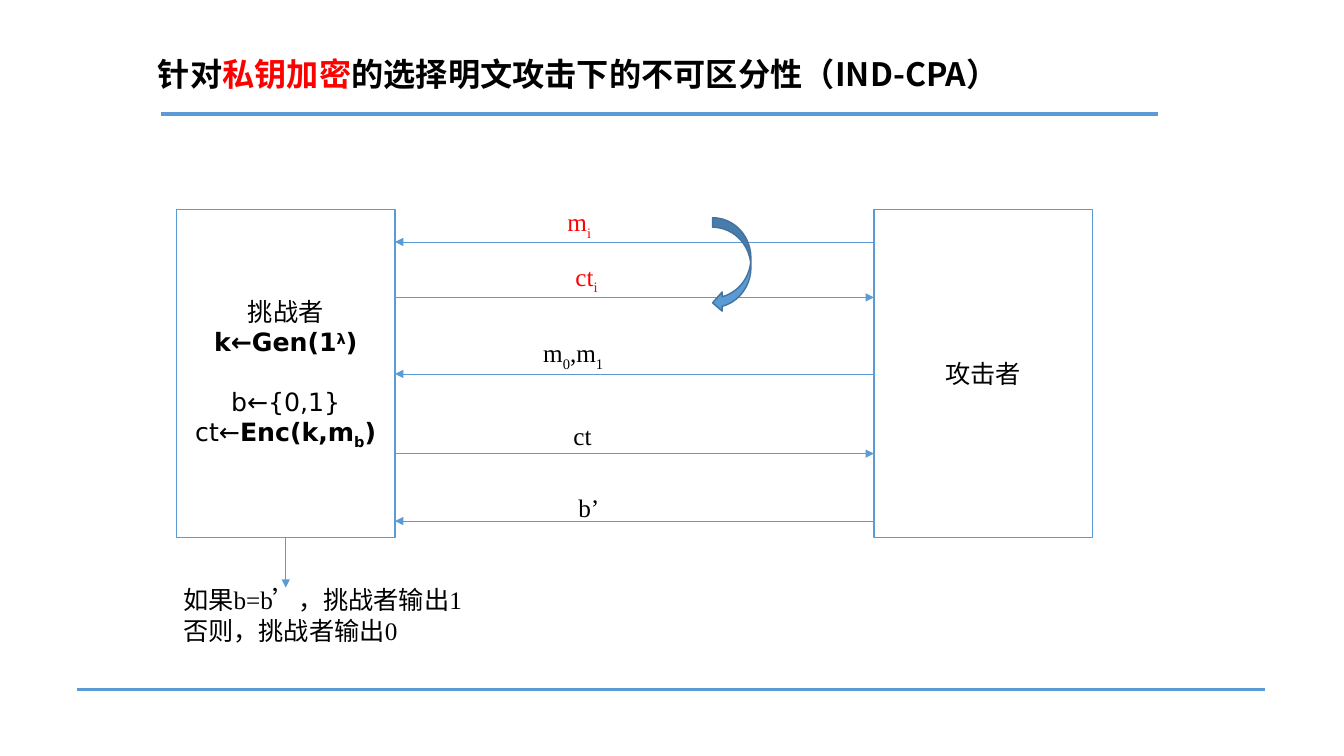
from lxml import etree
from pptx import Presentation
from pptx.dml.color import RGBColor
from pptx.enum.lang import MSO_LANGUAGE_ID
from pptx.enum.shapes import MSO_CONNECTOR, MSO_SHAPE
from pptx.enum.text import MSO_ANCHOR, MSO_AUTO_SIZE, PP_ALIGN
from pptx.oxml.ns import qn
from pptx.util import Pt

BLUE = RGBColor(0x5B, 0x9B, 0xD5)
DARK_BLUE = RGBColor(0x43, 0x73, 0x9E)
BLACK = RGBColor(0, 0, 0)
RED = RGBColor(0xFF, 0, 0)
WHITE = RGBColor(0xFF, 0xFF, 0xFF)

STRAIGHT = MSO_CONNECTOR.STRAIGHT
RECTANGLE = MSO_SHAPE.RECTANGLE
CURVED_ARROW = MSO_SHAPE.CURVED_LEFT_ARROW
CENTER = PP_ALIGN.CENTER
MIDDLE = MSO_ANCHOR.MIDDLE
BOTTOM = MSO_ANCHOR.BOTTOM
GROW = MSO_AUTO_SIZE.SHAPE_TO_FIT_TEXT
CHINESE = MSO_LANGUAGE_ID.SIMPLIFIED_CHINESE

CJK = "Noto Sans CJK SC"
SANS = "DejaVu Sans"
SERIF = "Times New Roman"
SUB, SUP = -25, 30


def add_run(p, text, font=SERIF, size=18, color=BLACK, bold=False, base=0):
    """Append one formatted run to a paragraph."""
    r = p.add_run()
    r.text = text
    r.font.name = font
    r.font.size = Pt(size)
    r.font.bold = bold
    r.font.color.rgb = color
    r.font.language_id = CHINESE
    rPr = r._r.get_or_add_rPr()
    if base:
        rPr.set("baseline", str(base * 1000))
    ea = etree.Element(qn("a:ea"), typeface=CJK)
    rPr.find(qn("a:latin")).addnext(ea)


def add_line(s, x1, y1, x2, y2, width=0.5, arrow=True):
    """Draw a blue line, with an arrowhead at its end if wanted."""
    line = s.shapes.add_connector(STRAIGHT, Pt(x1), Pt(y1), Pt(x2), Pt(y2))
    line.line.color.rgb = BLUE
    line.line.width = Pt(width)
    if arrow:
        etree.SubElement(line.line._get_or_add_ln(), qn("a:tailEnd"), type="triangle")
    etree.SubElement(line._element.spPr, qn("a:effectLst"))


def add_textbox(s, x, y, w, h):
    """Add a wrapping text box and return its text frame."""
    tf = s.shapes.add_textbox(Pt(x), Pt(y), Pt(w), Pt(h)).text_frame
    tf.word_wrap = True
    return tf


def add_shape(s, kind, x, y, w, h, fill, outline):
    """Add a flat preset shape."""
    sp = s.shapes.add_shape(kind, Pt(x), Pt(y), Pt(w), Pt(h))
    sp.shadow.inherit = False
    sp.fill.solid()
    sp.fill.fore_color.rgb = fill
    sp.line.color.rgb = outline
    sp.line.width = Pt(1)
    return sp


def add_title(s, x, y, w, h):
    """Write the title, with its key term in red."""
    tf = add_textbox(s, x, y, w, h)
    tf.vertical_anchor = BOTTOM
    p = tf.paragraphs[0]
    p.line_spacing = 0.9
    parts = (("针对", BLACK), ("私钥加密", RED),
             ("的选择明文攻击下的不可区分性（IND-CPA）", BLACK))
    for text, color in parts:
        add_run(p, text, CJK, 23, color, True)


def add_party(s, x, y, w, h, lines, gap_before=None):
    """Draw a party's box; gap_before is the index of the line set apart."""
    tf = add_shape(s, RECTANGLE, x, y, w, h, WHITE, BLUE).text_frame
    tf.word_wrap = True
    tf.vertical_anchor = MIDDLE
    for i, runs in enumerate(lines):
        p = tf.add_paragraph() if i else tf.paragraphs[0]
        p.alignment = CENTER
        if i == gap_before:
            p.space_before = Pt(21)
        for text, bold, base in runs:
            add_run(p, text, SANS, bold=bold, base=base)


def add_messages(s, x, y, w):
    """Draw the messages between the parties and the repeat arrow."""
    messages = (
        (23, True, 116, -5.8, 35.3, RED, (("m", 0), ("i", SUB))),
        (62.6, False, 121.7, 33.1, 34.6, RED, (("ct", 0), ("i", SUB))),
        (117.3, True, 98.7, 87.8, 114.5, BLACK,
         (("m", 0), ("0", SUB), (",m", 0), ("1", SUB))),
        (174.2, False, 120.3, 146.8, 31, BLACK, (("ct", 0),)),
        (222.4, True, 123.9, 198, 31, BLACK, (("b’", 0),)),
    )
    for dy, leftward, label_dx, label_dy, label_w, color, runs in messages:
        start, end = (x + w, x) if leftward else (x, x + w)
        add_line(s, start, y + dy, end, y + dy)
        tf = add_textbox(s, x + label_dx, y + label_dy, label_w, 28.8)
        for text, base in runs:
            add_run(tf.paragraphs[0], text, color=color, base=base)
    add_shape(s, CURVED_ARROW, x + 226.8, y + 5.7, 27.4, 67.7, BLUE, DARK_BLUE)


def add_outcome(s, x, y, w, h):
    """Write the challenger's output below its arrow."""
    add_line(s, x + 80.3, y - 30.2, x + 80.3, y + 5.8)
    tf = add_textbox(s, x, y, w, h)
    tf.auto_size = GROW
    add_run(tf.paragraphs[0], "如果b=b’，挑战者输出1")
    add_run(tf.add_paragraph(), "否则，挑战者输出0")


def main():
    """Build the slide and save it."""
    prs = Presentation()
    prs.slide_width, prs.slide_height = Pt(960), Pt(540)
    s = prs.slides.add_slide(prs.slide_layouts[6])
    add_line(s, 115.2, 81.4, 827.3, 81.4, 2.25, False)
    add_line(s, 54.7, 492.5, 903.6, 492.5, 2.25, False)
    add_title(s, 105.8, 31, 630.7, 39.6)

    left, top, width, height, channel = 126, 149.8, 156.2, 234, 342
    challenger = (
        (("挑战者", False, 0),),
        (("k←Gen(1", True, 0), ("λ", True, SUP), (")", True, 0)),
        (("b←{0,1}", False, 0),),
        (("ct←", False, 0), ("Enc(k,m", True, 0), ("b", True, SUB), (")", True, 0)),
    )
    attacker = ((("攻击者", False, 0),),)
    add_party(s, left, top, width, height, challenger, gap_before=2)
    add_party(s, left + width + channel, top, width, height, attacker)
    add_messages(s, left + width, top, channel)
    add_outcome(s, 123.8, 414, 213.8, 51.1)
    prs.save("out.pptx")


if __name__ == "__main__":
    main()
